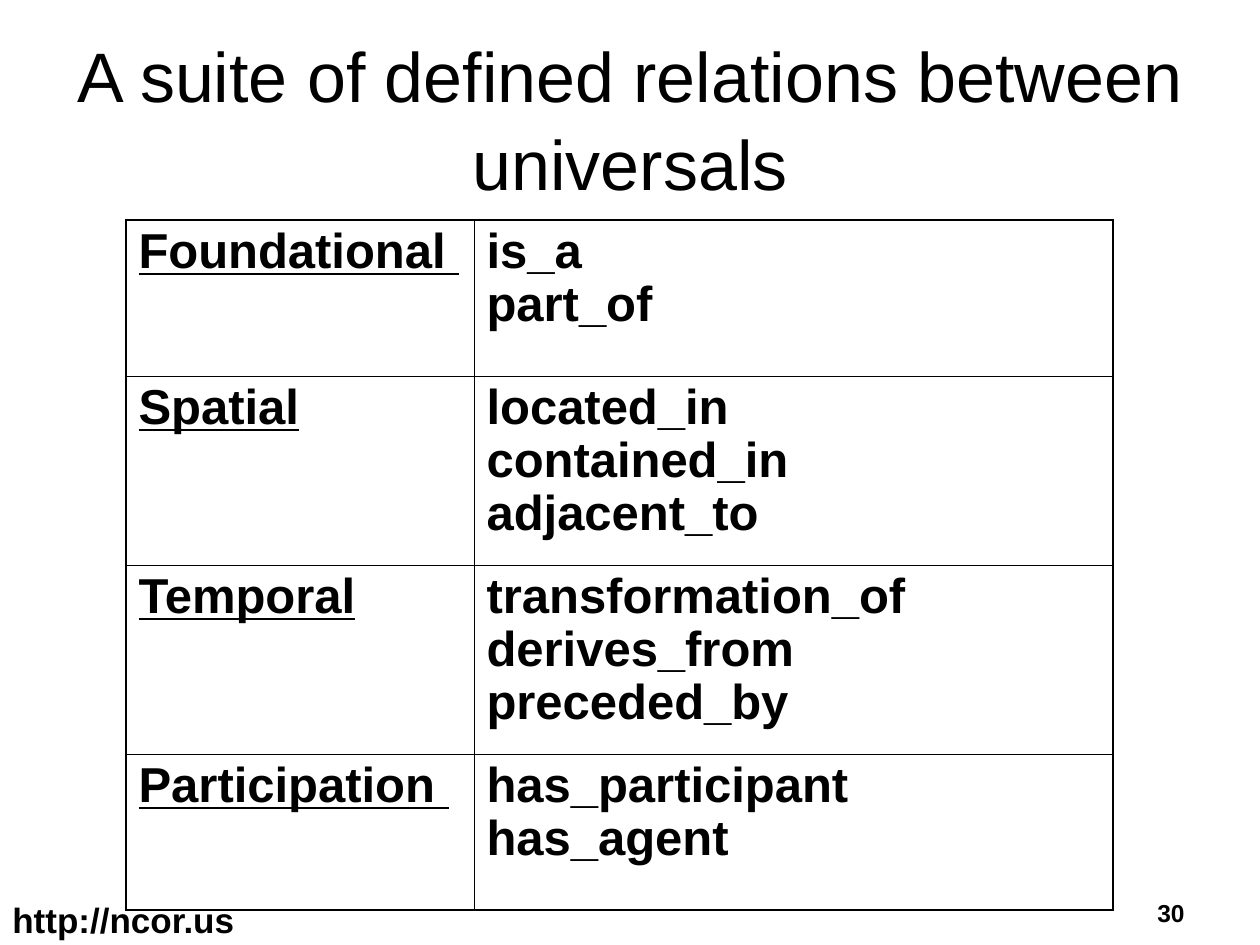
from lxml import etree
from pptx import Presentation
from pptx.dml.color import RGBColor
from pptx.enum.text import MSO_ANCHOR, PP_ALIGN
from pptx.oxml.ns import qn
from pptx.util import Pt

LEFT, MID, RIGHT = PP_ALIGN.LEFT, PP_ALIGN.CENTER, PP_ALIGN.RIGHT
CENTER = MSO_ANCHOR.MIDDLE
PX = 914400 / 126
INK = "000000"


def px(*sizes):
    return [round(n * PX) for n in sizes]


def write(frame, text, size=28, bold=True, under=False, align=LEFT, gap=1.0):
    frame.word_wrap = True
    para = frame.paragraphs[0]
    para.alignment = align
    para.line_spacing = gap
    para.space_before = Pt(0)
    para.text = text
    for run in para.runs:
        font = run.font
        font.name = "Arial"
        font.size = Pt(size)
        font.bold = bold
        font.underline = under
        font.color.rgb = RGBColor.from_string(INK)


deck = Presentation()
deck.slide_width, deck.slide_height = px(1260, 945)
slide = deck.slides.add_slide(deck.slide_layouts[5])

title = slide.shapes.title
title.left, title.top, title.width, title.height = px(63, 38, 1134, 157)
title.text_frame.vertical_anchor = CENTER
write(title.text_frame, "A suite of defined relations between universals",
      size=40, bold=False, align=MID, gap=1.05)

groups = [
    ("Foundational ", ["is_a", "part_of"], 156),
    ("Spatial", ["located_in", "contained_in", "adjacent_to"], 189),
    ("Temporal", ["transformation_of", "derives_from", "preceded_by"], 189),
    ("Participation ", ["has_participant", "has_agent"], 156),
]
last = len(groups) - 1
grid = slide.shapes.add_table(len(groups), 2, *px(126, 220, 987, 690)).table
grid.first_row = grid.horz_banding = False
for col, width in zip(grid.columns, px(348, 639)):
    col.width = width

for r, (kind, names, high) in enumerate(groups):
    grid.rows[r].height = px(high)[0]
    for c, text in enumerate([kind, "\v".join(names)]):
        cell = grid.cell(r, c)
        cell.fill.background()
        write(cell.text_frame, text, under=c == 0, gap=0.97)
        props = cell._tc.get_or_add_tcPr()
        edges = {"L": c == 0, "R": c == 1, "T": r == 0, "B": r == last}
        for i, (side, outer) in enumerate(edges.items()):
            line = etree.Element(qn(f"a:ln{side}"), w=str(Pt(1.08 if outer else 0.45)))
            fill = etree.SubElement(line, qn("a:solidFill"))
            etree.SubElement(fill, qn("a:srgbClr"), val=INK)
            props.insert(i, line)

for text, left, width, size, align in [
    ("http://ncor.us", 0, 829, 20, LEFT),
    ("30", 903, 294, 14, RIGHT),
]:
    box = slide.shapes.add_textbox(*px(left, 892, width, 34))
    write(box.text_frame, text, size=size, align=align)

deck.save("out.pptx")
